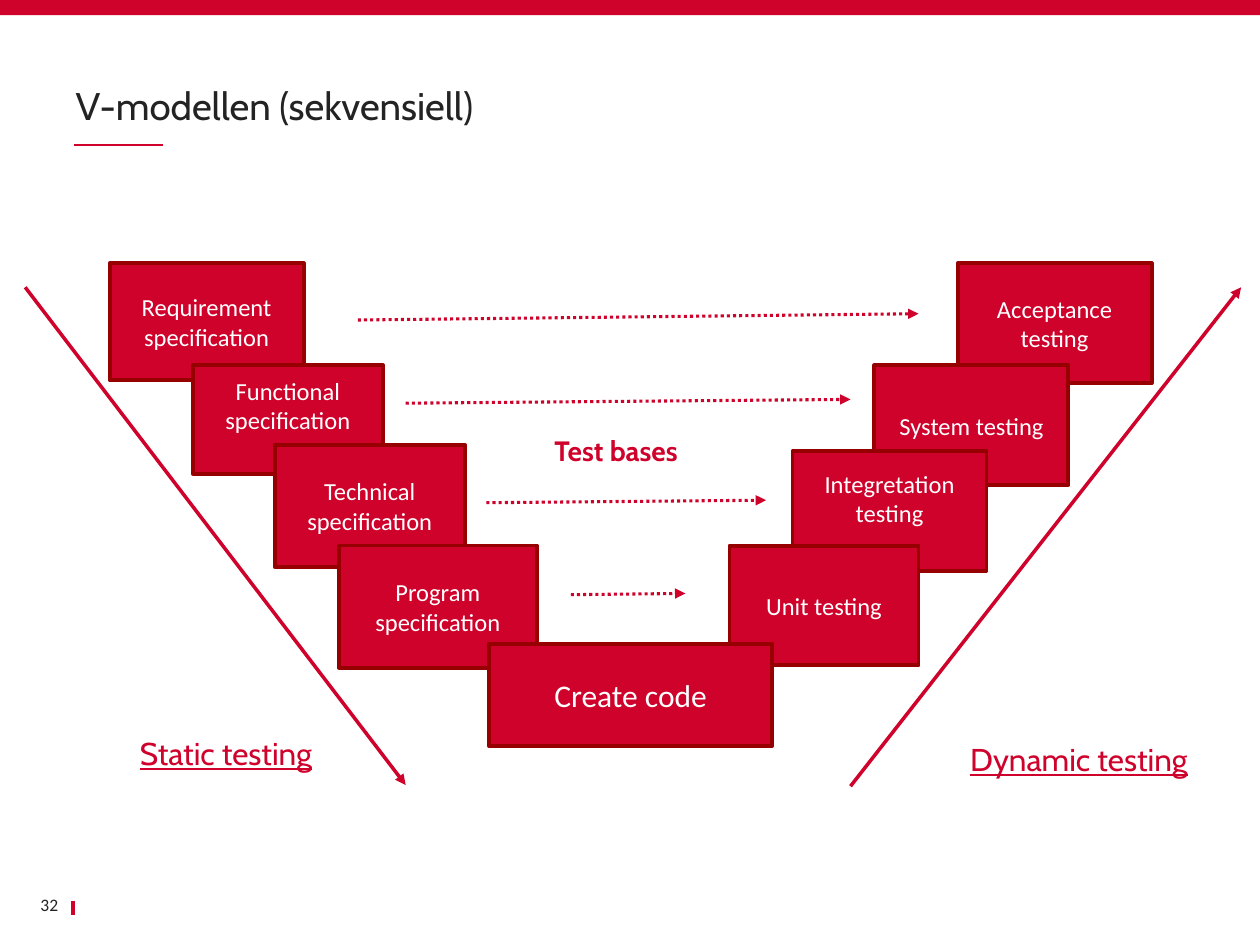
from lxml import etree
from pptx import Presentation
from pptx.dml.color import RGBColor
from pptx.enum.dml import MSO_LINE
from pptx.enum.shapes import MSO_CONNECTOR, MSO_SHAPE
from pptx.enum.text import MSO_ANCHOR, PP_ALIGN
from pptx.oxml.ns import qn
from pptx.util import Inches, Pt

WIDTH, HEIGHT = Inches(10), Inches(7.5)
COLUMN, ROW = WIDTH / 100, HEIGHT / 75
RECTANGLE, STRAIGHT = MSO_SHAPE.RECTANGLE, MSO_CONNECTOR.STRAIGHT
DOTTED = MSO_LINE.ROUND_DOT
MIDDLE, BOTTOM = MSO_ANCHOR.MIDDLE, MSO_ANCHOR.BOTTOM
LEFT, CENTER, RIGHT = PP_ALIGN.LEFT, PP_ALIGN.CENTER, PP_ALIGN.RIGHT
RED, DARK_RED, INK, WHITE = "CF022B", "960000", "232323", "FFFFFF"

STAGES = [
    (76, 20.9, 15.4, 9.5, ["Acceptance", "testing"]),
    (69.4, 29, 15.4, 9.5, ["System testing"]),
    (62.9, 35.8, 15.4, 9.5, ["Integretation testing"], 14, 2),
    (8.7, 20.9, 15.4, 9.3, ["Requirement specification"]),
    (15.3, 29, 15.1, 8.6, ["Functional specification"], 14, 2.3),
    (21.8, 35.3, 15.1, 9.7, ["Technical specification"]),
    (26.9, 43.3, 15.7, 9.7, ["Program specification"]),
    (57.9, 43.3, 15, 9.5, ["Unit testing"]),
    (38.8, 51.1, 22.5, 8.1, ["Create code"], 18),
]
PHASE_ARROWS = [(2, 22.8, 32.2, 62.3), (67.5, 62.4, 98.5, 22.8)]
TEST_BASE_ARROWS = [
    (28.4, 25.4, 72.9, 24.9),
    (32.2, 32, 67.5, 31.7),
    (38.6, 39.9, 60.8, 39.7),
    (45.3, 47.2, 54.4, 47.1),
]


def color(value):
    return RGBColor.from_string(value)


def place(left, top, width, height):
    return (round(left * COLUMN), round(top * ROW),
            round(width * COLUMN), round(height * ROW))


def add_span(para, text, size, font, ink, bold=False, underline=False):
    span = para.add_run()
    span.text = text
    span.font.size = Pt(size)
    span.font.name = font
    span.font.color.rgb = color(ink)
    span.font.bold = bold
    span.font.underline = underline


def add_box(slide, area, fill, border=None):
    box = slide.shapes.add_shape(RECTANGLE, *place(*area))
    box.shadow.inherit = False
    box.fill.solid()
    box.fill.fore_color.rgb = color(fill)
    if border:
        box.line.color.rgb = color(border)
        box.line.width = Pt(2.25)
    else:
        box.line.fill.background()
    return box


def add_stage(slide, left, top, width, height, texts, size=14, covered_rows=0):
    frame = add_box(slide, (left, top, width, height), RED, DARK_RED).text_frame
    frame.word_wrap = True
    frame.vertical_anchor = MIDDLE
    frame.margin_bottom = round((covered_rows + 0.5) * ROW)
    for index, text in enumerate(texts):
        para = frame.add_paragraph() if index else frame.paragraphs[0]
        para.alignment = CENTER
        add_span(para, text, size, "Calibri", WHITE)


def add_text(slide, area, anchor, align):
    frame = slide.shapes.add_textbox(*place(*area)).text_frame
    frame.word_wrap = True
    frame.vertical_anchor = anchor
    para = frame.paragraphs[0]
    para.alignment = align
    return frame, para


def add_label(slide, area, text, size, ink=RED, **style):
    frame, para = add_text(slide, area, BOTTOM, LEFT)
    frame.margin_left = frame.margin_right = 0
    para.line_spacing = 0.9
    add_span(para, text, size, "Cabin", ink, **style)


def add_line(slide, ends, weight, arrow=False, dash=None):
    line = slide.shapes.add_connector(STRAIGHT, *place(*ends))
    line.line.color.rgb = color(RED)
    line.line.width = Pt(weight)
    if dash:
        line.line.dash_style = dash
    if arrow:
        outline = line.line._get_or_add_ln()
        etree.SubElement(outline, qn("a:tailEnd"), type="triangle")
    etree.SubElement(line._element.spPr, qn("a:effectLst"))


def add_page_frame(slide):
    add_line(slide, (5.8, 71.5, 5.8, 72.6), 2.25)
    add_line(slide, (5.9, 11.5, 12.9, 11.5), 1)
    add_box(slide, (0, 0, 100, 1.2), RED)
    add_label(slide, (6, 2.1, 88, 8.6), "V-modellen (sekvensiell)", 22, INK)
    _, para = add_text(slide, (2, 70.6, 3.6, 2.4), MIDDLE, RIGHT)
    add_span(para, "32", 10, "Calibri", INK)


def main():
    deck = Presentation()
    deck.slide_width, deck.slide_height = WIDTH, HEIGHT
    slide = deck.slides.add_slide(deck.slide_layouts[6])
    add_page_frame(slide)
    for stage in STAGES:
        add_stage(slide, *stage)
    for ends in PHASE_ARROWS:
        add_line(slide, ends, 2, arrow=True)
    for ends in TEST_BASE_ARROWS:
        add_line(slide, ends, 1.75, arrow=True, dash=DOTTED)
    add_label(slide, (11.1, 58.7, 19.5, 3.1), "Static testing", 18, underline=True)
    add_label(slide, (77, 59.2, 19.5, 3.1), "Dynamic testing", 18, underline=True)
    add_label(slide, (44, 33.5, 12.7, 4.1), "Test bases", 16, bold=True)
    deck.save("out.pptx")


if __name__ == "__main__":
    main()
